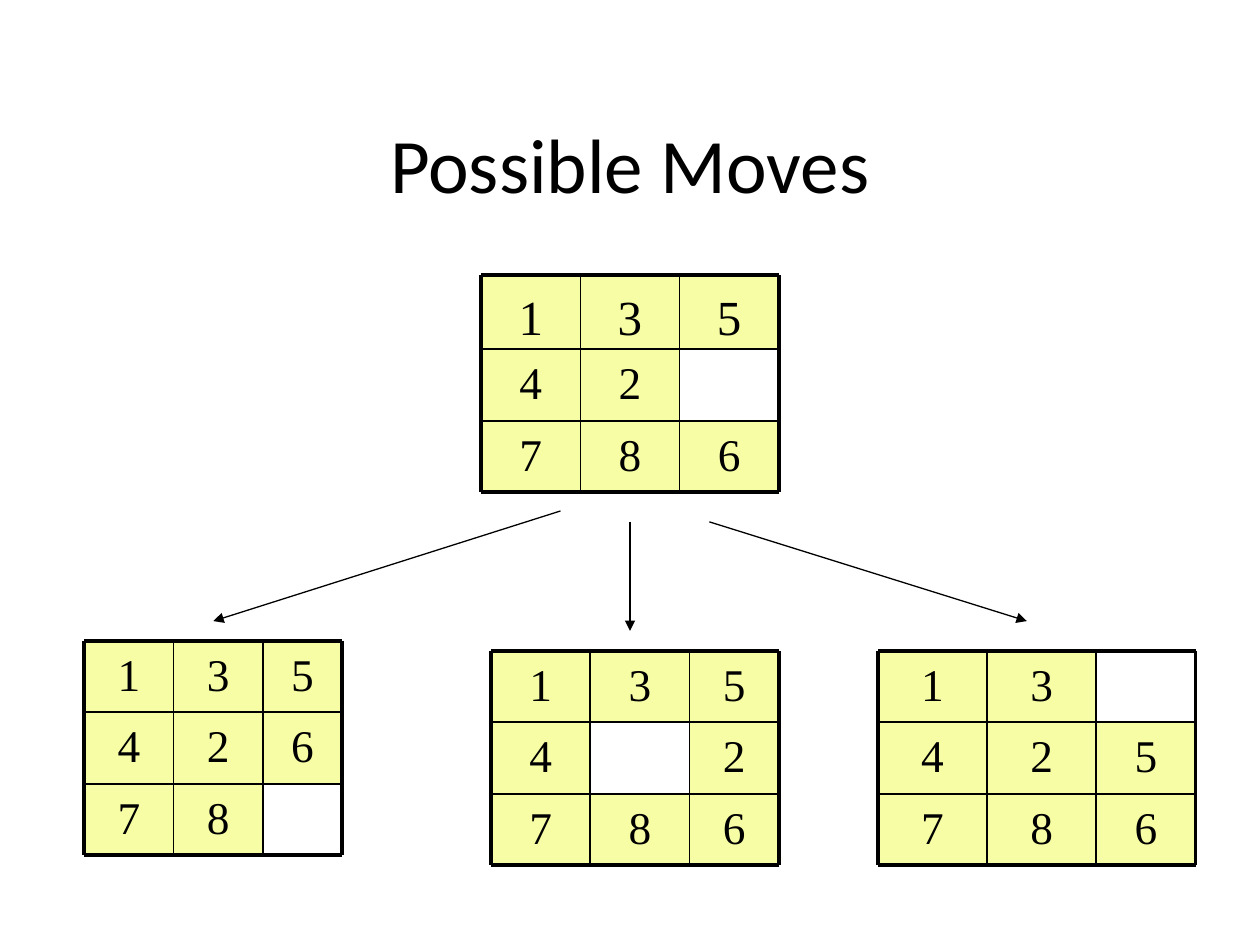
from itertools import accumulate

from lxml.etree import SubElement
from pptx import Presentation
from pptx.dml.color import RGBColor
from pptx.enum.shapes import MSO_CONNECTOR, MSO_SHAPE
from pptx.enum.text import MSO_ANCHOR, PP_ALIGN
from pptx.oxml.ns import qn
from pptx.util import Inches, Pt

BLACK = RGBColor(0x00, 0x00, 0x00)
TILE_YELLOW = RGBColor(0xF7, 0xFD, 0xA5)

WIDTH, HEIGHT = Inches(10), Inches(7.5)
GRID_COLUMNS = 127  # square grid: rows are as tall as columns are wide
ROW = 7.2

# left, top, column widths, row heights, tiles (a space is the empty square)
START = (48.5, 27.7, (10, 10, 10), (7.5, ROW, ROW), ("135", "42 ", "786"))
MOVES = (
    (49.5, 65.6, (10, 10, 9), (ROW,) * 3, ("135", "4 2", "786")),
    (8.5, 64.6, (9, 9, 8), (ROW,) * 3, ("135", "426", "78 ")),
    (88.5, 65.6, (11, 11, 10), (ROW,) * 3, ("13 ", "425", "786")),
)
ARROWS = (
    ((56.5, 51.5), (21.5, 62.6)),
    ((63.5, 52.6), (63.5, 63.6)),
    ((71.5, 52.6), (103.5, 62.6)),
)


def set_all(target, values):
    for name, value in values.items():
        setattr(target, name, value)


class PuzzleSlide:
    """Draws on one slide; every length is in grid units."""

    title_font = {"name": "Calibri", "size": Pt(44)}
    tile_font = {"name": "Times New Roman", "size": Pt(25.9)}
    large_tile_font = {"name": "Times New Roman", "size": Pt(28)}
    title_frame = {"word_wrap": True, "vertical_anchor": MSO_ANCHOR.MIDDLE}
    tile_frame = {
        "word_wrap": True,
        "vertical_anchor": MSO_ANCHOR.TOP,
        "margin_left": Inches(0.1),
        "margin_right": Inches(0.1),
        "margin_top": Inches(0.09),
        "margin_bottom": Inches(0.05),
    }
    border, divider, arrow_line = Pt(2.25), Pt(1), Pt(0.75)

    def __init__(self, slide):
        self.slide = slide

    def units(self, *lengths):
        return [round(length * WIDTH / GRID_COLUMNS) for length in lengths]

    def label(self, shape, text, frame_format, font_format, spacing=1.0):
        frame = shape.text_frame
        set_all(frame, frame_format)
        paragraph = frame.paragraphs[0]
        paragraph.text = text
        set_all(paragraph, {"alignment": PP_ALIGN.CENTER, "line_spacing": spacing})
        set_all(paragraph.font, font_format)
        paragraph.font.color.rgb = BLACK

    def title(self, text, *box):
        shape = self.slide.shapes.add_textbox(*self.units(*box))
        self.label(shape, text, self.title_frame, self.title_font)

    def tile(self, shapes, digit, *box):
        shape = shapes.add_shape(MSO_SHAPE.RECTANGLE, *self.units(*box))
        shape.shadow.inherit = False
        shape.fill.solid()
        shape.fill.fore_color.rgb = TILE_YELLOW
        shape.line.fill.background()
        large = box[-1] > ROW
        font = self.large_tile_font if large else self.tile_font
        self.label(shape, digit, self.tile_frame, font, 1.0 if large else 0.9)

    def line(self, shapes, start, end, width):
        connector = shapes.add_connector(
            MSO_CONNECTOR.STRAIGHT, *self.units(*start, *end)
        )
        connector.line.color.rgb = BLACK
        connector.line.width = width
        SubElement(connector._element.spPr, qn("a:effectLst"))
        return connector

    def arrow(self, start, end):
        connector = self.line(self.slide.shapes, start, end, self.arrow_line)
        outline = connector._element.spPr.find(qn("a:ln"))
        SubElement(outline, qn("a:tailEnd"), type="triangle")

    def board(self, left, top, widths, heights, tiles):
        shapes = self.slide.shapes.add_group_shape().shapes
        xs = list(accumulate(widths, initial=left))
        ys = list(accumulate(heights, initial=top))
        for y, height, digits in zip(ys, heights, tiles):
            for x, width, digit in zip(xs, widths, digits):
                if digit != " ":
                    self.tile(shapes, digit, x, y, width, height)
        for y in ys:
            weight = self.border if y in (ys[0], ys[-1]) else self.divider
            self.line(shapes, (xs[0], y), (xs[-1], y), weight)
        for x in xs:
            weight = self.border if x in (xs[0], xs[-1]) else self.divider
            self.line(shapes, (x, ys[0]), (x, ys[-1]), weight)


def main():
    presentation = Presentation()
    set_all(presentation, {"slide_width": WIDTH, "slide_height": HEIGHT})
    puzzle = PuzzleSlide(presentation.slides.add_slide(presentation.slide_layouts[6]))
    puzzle.title("Possible Moves", 9.5, 8.5, 108, 15.9)
    for board in (START, *MOVES):
        puzzle.board(*board)
    for start, end in ARROWS:
        puzzle.arrow(start, end)
    presentation.save("out.pptx")


if __name__ == "__main__":
    main()
